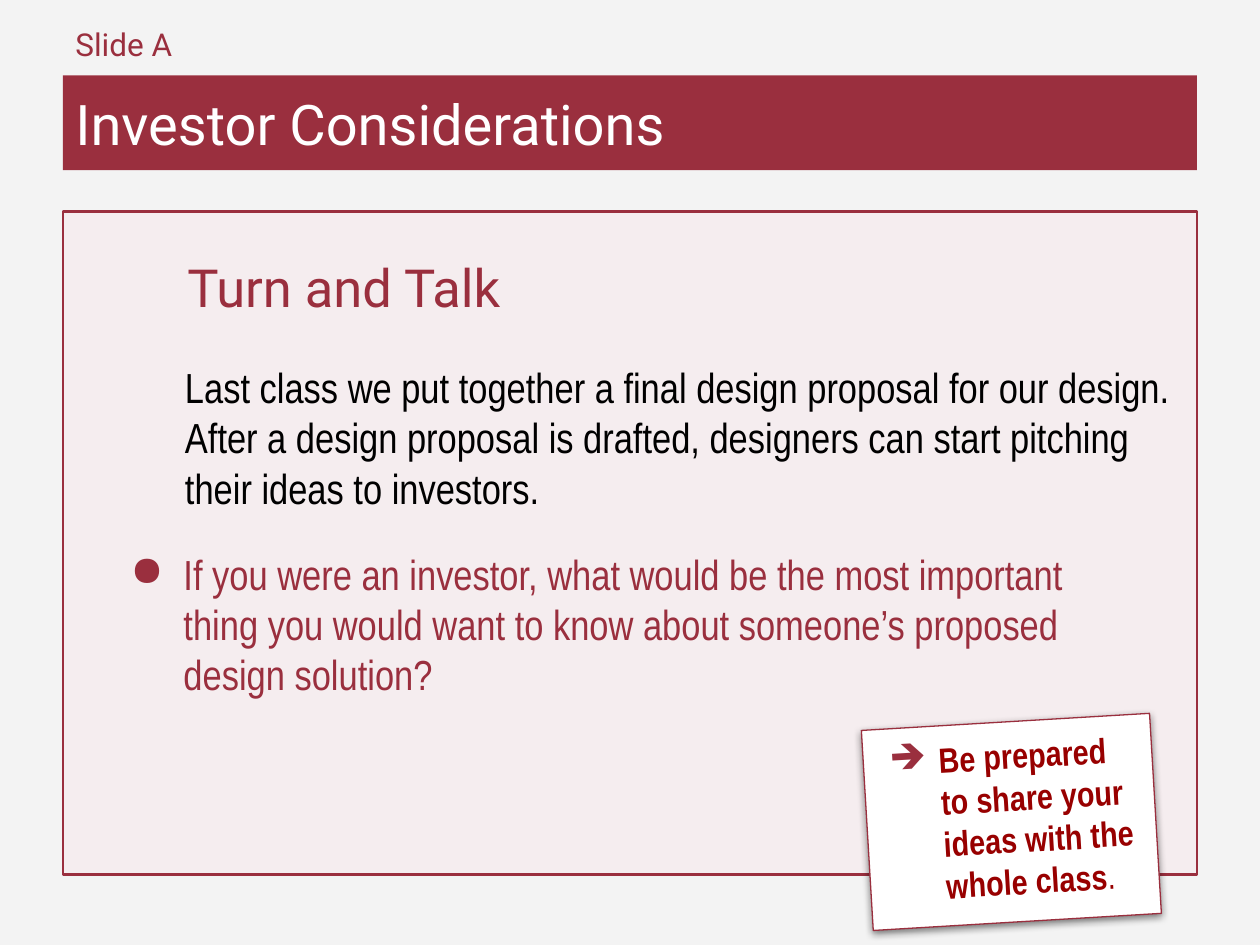
from pptx import Presentation
from pptx.dml.color import RGBColor
from pptx.enum.shapes import MSO_SHAPE as Shape
from pptx.enum.text import MSO_ANCHOR as Anchor, PP_ALIGN as Align
from pptx.oxml.ns import qn
from pptx.util import Cm, Pt
from lxml.etree import SubElement as Sub

WINE = RGBColor(0x9A, 0x2F, 0x3E)
RED = RGBColor(0x98, 0x00, 0x00)
BLUSH = RGBColor(0xF5, 0xED, 0xEF)
PALE = RGBColor(0xF3, 0xF3, 0xF3)
WHITE = RGBColor(0xFF, 0xFF, 0xFF)
BLACK = RGBColor(0x00, 0x00, 0x00)
HEAD, BODY = "Roboto", "Arial Narrow"


def write(shape, text, font=BODY, size=24, color=WINE, bold=False, tail="",
          anchor=Anchor.TOP, after=0, bullet=None, hang=1.07):
    frame = shape.text_frame
    frame.word_wrap = True
    frame.vertical_anchor = anchor
    frame.margin_left = frame.margin_right = Cm(0.25)
    frame.margin_top = frame.margin_bottom = Cm(0.25)
    para = frame.paragraphs[0]
    para.alignment = Align.LEFT
    para.space_after = Pt(after)
    for part, heavy in ((text, bold), (tail, False)):
        if part:
            run = para.add_run()
            run.text = part
            run.font.name = font
            run.font.size = Pt(size)
            run.font.bold = heavy
            run.font.color.rgb = color
    if bullet:
        props = para._p.get_or_add_pPr()
        props.set("marL", str(Cm(1.27)))
        props.set("indent", str(-Cm(hang)))
        tint = Sub(props, qn("a:buClr"))
        Sub(tint, qn("a:srgbClr"), val=str(WINE))
        Sub(props, qn("a:buChar"), char=bullet)


class Deck:
    def __init__(self):
        self.show = Presentation()
        self.show.slide_width = Cm(25.4)
        self.show.slide_height = Cm(19.05)
        self.slide = self.show.slides.add_slide(self.show.slide_layouts[6])
        fill = self.slide.background.fill
        fill.solid()
        fill.fore_color.rgb = PALE

    def box(self, place, fill, line=0, turn=0):
        shape = self.slide.shapes.add_shape(Shape.RECTANGLE, *map(Cm, place))
        shape.shadow.inherit = False
        shape.rotation = turn
        shape.fill.solid()
        shape.fill.fore_color.rgb = fill
        if line:
            shape.line.color.rgb = WINE
            shape.line.width = Pt(line)
        else:
            shape.line.fill.background()
        return shape

    def shade(self, shape):
        effect = shape._element.spPr.find(qn("a:effectLst"))
        outer = Sub(effect, qn("a:outerShdw"), blurRad=str(Pt(4.5)),
                    dist=str(Pt(1.5)), dir="5400000", algn="bl", rotWithShape="0")
        tint = Sub(outer, qn("a:srgbClr"), val=str(BLACK))
        Sub(tint, qn("a:alpha"), val="49000")

    def label(self, place, text, **style):
        write(self.slide.shapes.add_textbox(*map(Cm, place)), text, **style)

    def save(self):
        self.show.save("out.pptx")


def main():
    deck = Deck()
    title = deck.box((1.27, 1.52, 22.86, 1.91), WINE)
    write(title, "Investor Considerations", font=HEAD, size=32, color=WHITE,
          anchor=Anchor.MIDDLE)
    deck.label((1.27, 0, 10.34, 1.52), "Slide A", font=HEAD, size=18,
               anchor=Anchor.BOTTOM)
    deck.box((1.27, 4.27, 22.86, 13.36), BLUSH, line=1.5)
    deck.label((2.18, 10.8, 20.96, 5.92),
               "If you were an investor, what would be the most important thing "
               "you would want to know about someone’s proposed design solution?",
               bullet="●")
    deck.label((3.53, 4.9, 12.24, 2.11), "Turn and Talk", font=HEAD, size=30,
               after=10)
    note = deck.box((17.48, 14.55, 5.82, 4.04), WHITE, line=0.75, turn=356.6)
    deck.shade(note)
    write(note, "Be prepared to share your ideas with the whole class", tail=".",
          size=20, color=RED, bold=True, bullet="➔", hang=0.99)
    deck.label((3.48, 7.04, 20.6, 4.29),
               "Last class we put together a final design proposal for our design. "
               "After a design proposal is drafted, designers can start pitching "
               "their ideas to investors.", color=BLACK)
    deck.save()


if __name__ == "__main__":
    main()
